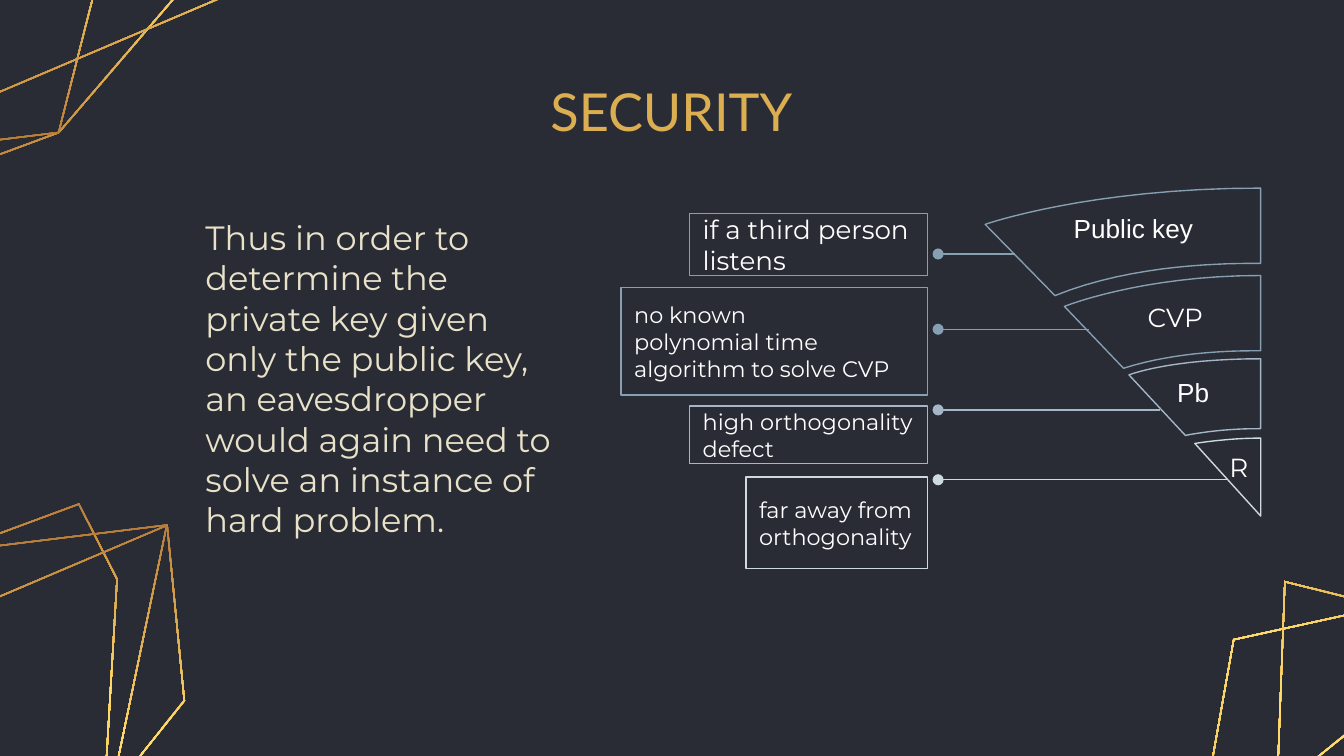
import copy
import math
from dataclasses import dataclass

import pptx
import pptx.dml.color
import pptx.enum.shapes
import pptx.enum.text
import pptx.oxml
import pptx.oxml.ns
import pptx.util

SHAPE = pptx.enum.shapes.MSO_SHAPE
ANCHOR = pptx.enum.text.MSO_ANCHOR
ALIGN = pptx.enum.text.PP_ALIGN
qn = pptx.oxml.ns.qn


@dataclass(frozen=True)
class Theme:
    ground: str = "292C35"
    gold: str = "DCAE52"
    cream: str = "E9E2C9"
    white: str = "FFFFFF"
    tiers: tuple = ("869FB1", "869FB2", "A5B7C6", "CFD9E0")
    ornament: tuple = ((0, "AF7132"), (0.5, "FFDD6B"), (1, "DCAE52"))
    title: int = 28
    body: int = 18
    label: int = 14
    note: int = 12
    line: float = 0.75
    heading_font: str = "Lato"
    text_font: str = "Montserrat"
    plain_font: str = "Arial"


def rgb(color):
    return pptx.dml.color.RGBColor.from_string(color)


def inch(value):
    return pptx.util.Cm(value * 2.54)


def rotate(x, y, degrees):
    c, s = math.cos(math.radians(degrees)), math.sin(math.radians(degrees))
    return x * c - y * s, x * s + y * c


def inset(points, distance):
    n = len(points)
    normals = []
    for i, (x, y) in enumerate(points):
        dx, dy = points[(i + 1) % n][0] - x, points[(i + 1) % n][1] - y
        length = math.hypot(dx, dy)
        normals.append((-dy / length, dx / length))
    result = []
    for i, (x, y) in enumerate(points):
        (ax, ay), (bx, by) = normals[i - 1], normals[i]
        k = distance / (1 + ax * bx + ay * by)
        result.append((x + k * (ax + bx), y + k * (ay + by)))
    return result


def curve(a, b, c, d, steps=16):
    points = []
    for i in range(steps + 1):
        t = i / steps
        u = 1 - t
        points.append(tuple(u**3 * a[j] + 3 * u * u * t * b[j] + 3 * u * t * t * c[j] + t**3 * d[j]
                            for j in (0, 1)))
    return points


class Deck:
    def __init__(self, theme):
        self.t = theme
        self.prs = pptx.Presentation()
        self.prs.slide_width, self.prs.slide_height = inch(10), inch(5.625)
        self.s = self.prs.slides.add_slide(self.prs.slide_layouts[6])
        fill = self.s.background.fill
        fill.solid()
        fill.fore_color.rgb = rgb(theme.ground)

    def outline(self, contours):
        x, y = contours[0][0]
        fb = self.s.shapes.build_freeform(inch(x), inch(y), scale=1.0)
        for i, points in enumerate(contours):
            scaled = [(inch(px), inch(py)) for px, py in points]
            if i:
                fb.move_to(*scaled[0])
            fb.add_line_segments(scaled[1:], close=True)
        sp = fb.convert_to_shape()
        sp.shadow.inherit = False
        return sp

    def stroke(self, sp, color):
        sp.line.color.rgb = rgb(color)
        sp.line.width = pptx.util.Pt(self.t.line)

    def ring(self, points, anchor, scale, turn):
        xs, ys = zip(*points)
        cx, cy = (min(xs) + max(xs)) / 2, (min(ys) + max(ys)) / 2
        mx, my = rotate(cx * scale, cy * scale, turn)
        placed = [(anchor[0] + mx + (x - cx) * scale, anchor[1] + my + (y - cy) * scale)
                  for x, y in points]
        sp = self.outline([placed, inset(placed, 0.01)[::-1]])
        sp.rotation = turn
        sp.line.fill.background()
        sp.fill.gradient()
        sp.fill.gradient_angle = 270
        stops = next(sp.element.iter(qn("a:gsLst")))
        stops.insert(1, copy.deepcopy(stops[0]))
        for stop, (position, color) in zip(sp.fill.gradient_stops, self.t.ornament):
            stop.position = position
            stop.color.rgb = rgb(color)

    def wedge(self, points, color):
        sp = self.outline([points])
        sp.fill.background()
        self.stroke(sp, color)

    def fill_text(self, sp, lines, size, color, font, anchor=ANCHOR.MIDDLE, align=ALIGN.LEFT,
                  margin=0.1, indent=0):
        tf = sp.text_frame
        tf.word_wrap = True
        tf.vertical_anchor = anchor
        tf.margin_left = tf.margin_right = inch(0.1)
        tf.margin_top = tf.margin_bottom = inch(margin)
        for i, line in enumerate(lines):
            p = tf.add_paragraph() if i else tf.paragraphs[0]
            p.alignment = align
            if indent:
                pPr = p._p.get_or_add_pPr()
                pPr.set("marL", str(inch(indent)))
                pPr.set("indent", "0")
            r = p.add_run()
            r.text = line
            r.font.size = pptx.util.Pt(size)
            r.font.name = font
            r.font.color.rgb = rgb(color)

    def text(self, box, lines, size, color, font, **style):
        sp = self.s.shapes.add_textbox(*map(inch, box))
        self.fill_text(sp, lines, size, color, font, **style)

    def note(self, box, lines, size, color):
        sp = self.s.shapes.add_shape(SHAPE.RECTANGLE, *map(inch, box))
        sp.shadow.inherit = False
        sp.fill.background()
        self.stroke(sp, color)
        self.fill_text(sp, lines, size, self.t.white, self.t.text_font)

    def leader(self, x1, x2, y, color):
        cx = self.s.shapes.add_connector(pptx.enum.shapes.MSO_CONNECTOR.STRAIGHT,
                                         inch(x1), inch(y), inch(x2), inch(y))
        self.stroke(cx, color)
        ns = pptx.oxml.ns.nsdecls("a")
        cx.get_or_add_ln().append(pptx.oxml.parse_xml(f'<a:tailEnd {ns} type="oval"/>'))
        cx.element.spPr.append(pptx.oxml.parse_xml(f"<a:effectLst {ns}/>"))


theme = Theme()
deck = Deck(theme)

HUB, FOOT, SIDE, TIP = (0, 0), (-0.93, 2.58), (0.92, 2.23), (-0.11, 3.07)
CREST = (1.63, -0.04)
FACETS = [
    [FOOT, (-1.41, 1.35), HUB, (0.99, -0.26), (1.22, 0.33), SIDE],
    [TIP, FOOT, HUB, CREST, SIDE],
    [TIP, (-1.33, 0.89), CREST, (1.63, 1.28)],
]
for anchor, scale, turn in [((-0.37, 4.1), 1, 354.4),
                            ((0.44, 0.99), 1, 174.4),
                            ((11.53, 4.24), 1.235, 31.4)]:
    for facet in FACETS:
        deck.ring(facet, anchor, scale, turn)

deck.text((1.26, 1.31, 3.01, 3.01),
          ["Thus in order to determine the private key given only the public key, "
           "an eavesdropper would again need to solve an instance of hard problem."],
          theme.body, theme.cream, theme.text_font, indent=0.17)
deck.text((2.18, 0.59, 5.63, 0.47), ["SECURITY"], theme.title, theme.gold,
          theme.heading_font, align=ALIGN.CENTER)

RIGHT, NOTE_RIGHT, DOT = 9.38, 6.9, 6.98
WEDGES = [
    (1.4, 1.96, (9.14, 8.44), (7.85, 2.2), (7.33, 1.67), 8.1),
    (2.05, 2.61, (9.2, 8.77), (8.36, 2.74), (7.92, 2.28), 8.49),
    (2.67, 3.19, (9.3, 9.08), (8.82, 3.24), (8.4, 2.79), 8.7),
    (3.26, 3.84, (RIGHT, RIGHT), (RIGHT, 3.84), (8.89, 3.3), 9.13),
]
NOTES = [
    (1.59, 1.77, 0.46, theme.label, ["if a third person listens"]),
    (2.14, 2.28, 0.8, theme.note, ["no known", "polynomial time algorithm to solve CVP"]),
    (3.02, 1.77, 0.43, theme.note, ["high orthogonality defect"]),
    (3.55, 1.35, 0.68, theme.note, ["far away from orthogonality"]),
]
LEADERS = [(7.55, 1.89), (8.1, 2.45), (8.63, 3.05), (9.14, 3.57)]
LABELS = [
    (7.89, 1.53, 1.22, "Public key", theme.plain_font),
    (8.44, 2.19, 0.86, "CVP", theme.text_font),
    (8.66, 2.75, 0.45, "Pb", theme.plain_font),
    (9.05, 3.31, 0.2, "R", theme.text_font),
]
for color, wedge, note, leader, label in zip(theme.tiers, WEDGES, NOTES, LEADERS, LABELS):
    top, bottom, bends, low, high, crest = wedge
    lower = curve((RIGHT, bottom), (bends[0], bottom), (bends[1], bottom), low)
    upper = curve(high, high, (crest, top), (RIGHT, top))
    deck.wedge(lower + upper, color)
    y, width, height, size, lines = note
    deck.note((NOTE_RIGHT - width, y, width, height), lines, size, color)
    deck.leader(leader[0], DOT, leader[1], color)
    x, y, width, word, font = label
    deck.text((x, y, width, 0.34), [word], theme.label, theme.white, font,
              anchor=ANCHOR.TOP, margin=0.05)

deck.prs.save("out.pptx")
